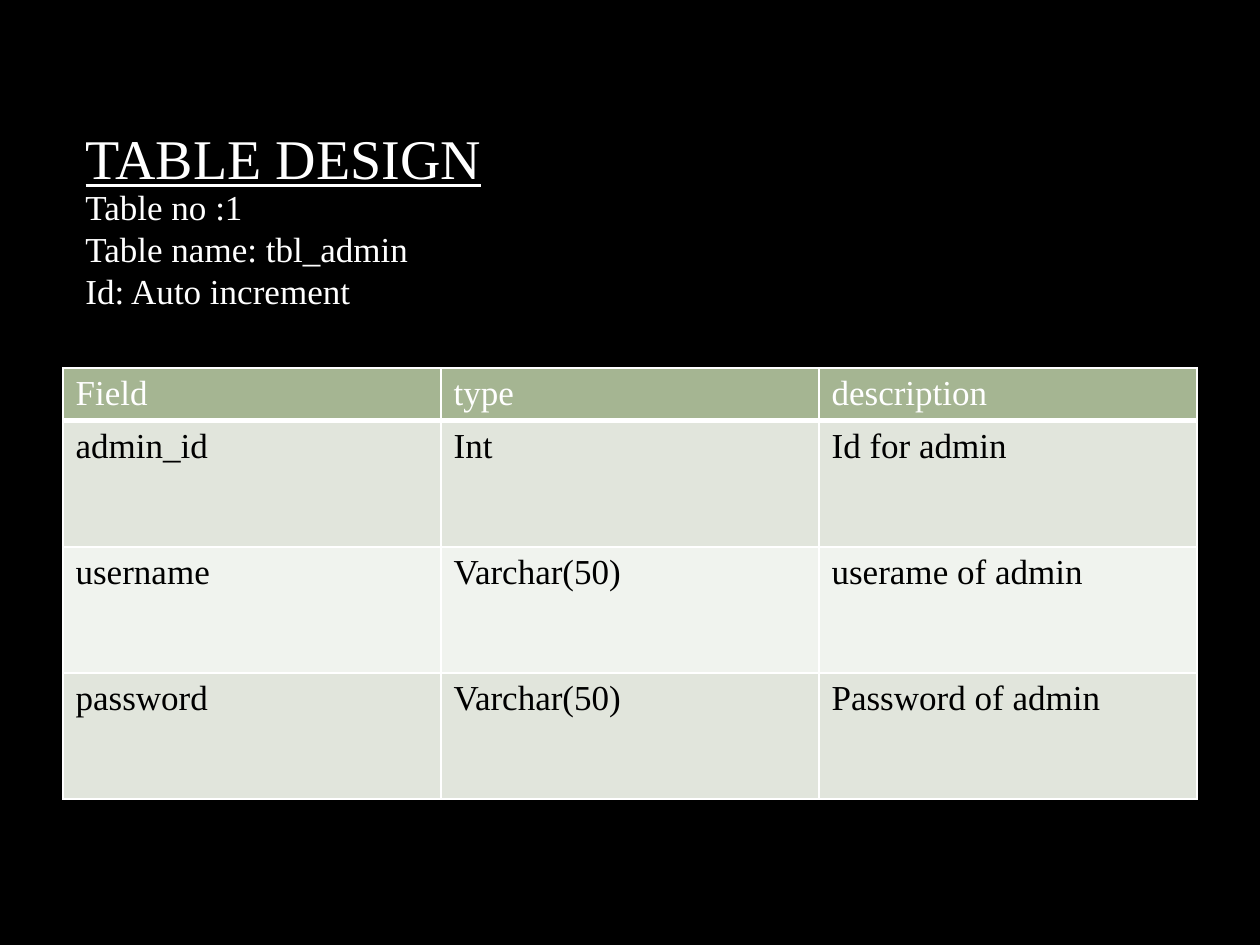
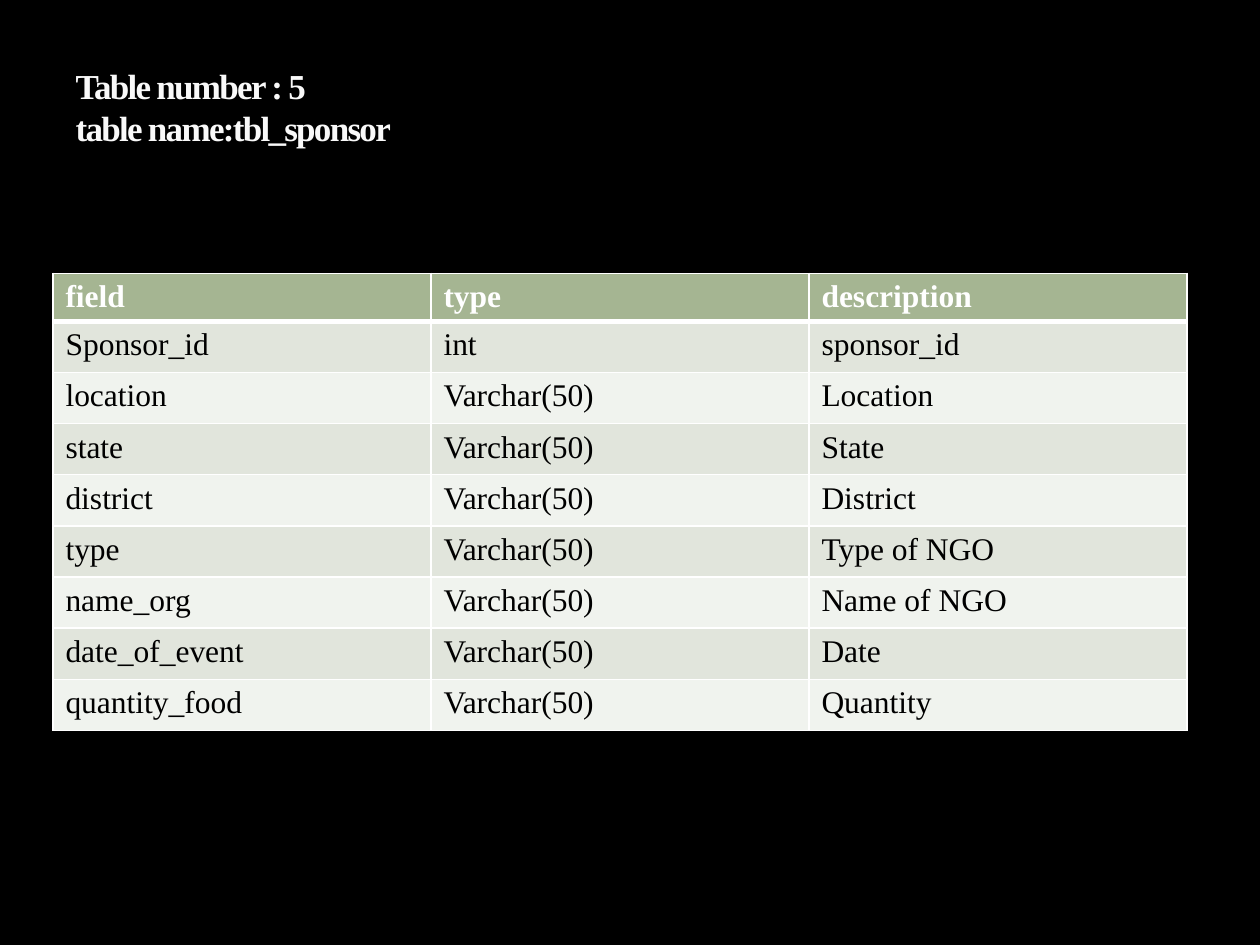
from lxml.etree import SubElement
from pptx import Presentation
from pptx.dml.color import RGBColor
from pptx.enum.text import MSO_ANCHOR, MSO_AUTO_SIZE, PP_ALIGN
from pptx.oxml.ns import qn
from pptx.util import Inches, Pt

FONT = "Times New Roman"
COLORS = {
    "background": "000000",
    "heading": "FFFFFF",
    "soft_heading": "F9F9F9",
    "header": "A5B592",
    "odd_row": "E1E5DC",
    "even_row": "F0F3EE",
    "border": "FFFFFF",
    "body": "000000",
}
TITLE_ONLY = 5
THIN, THICK = 1, 3
LEADING = 1.2

ADMIN_FIELDS = [
    ("Field", "type", "description"),
    ("admin_id", "Int", "Id for admin"),
    ("username", "Varchar(50)", "userame of admin"),
    ("password", "Varchar(50)", "Password of admin"),
]
SPONSOR_FIELDS = [
    ("field", "type", "description"),
    ("Sponsor_id", "int", "sponsor_id"),
    ("location", "Varchar(50)", "Location"),
    ("state", "Varchar(50)", "State"),
    ("district", "Varchar(50)", "District"),
    ("type", "Varchar(50)", "Type of NGO"),
    ("name_org", "Varchar(50)", "Name of NGO"),
    ("date_of_event", "Varchar(50)", "Date"),
    ("quantity_food", "Varchar(50)", "Quantity"),
]


def rgb(name):
    return RGBColor.from_string(COLORS[name])


def style(paragraph, size, color, bold=False, underline=False):
    font = paragraph.font
    font.name, font.size = FONT, Pt(size)
    font.bold, font.underline = bold, underline
    font.color.rgb = rgb(color)


def fill_heading(shape, box, lines, size, color="heading", leading=None, **look):
    """Place a heading shape in its box and write one paragraph per line."""
    shape.left, shape.top, shape.width, shape.height = map(Inches, box)
    frame = shape.text_frame
    frame.word_wrap = True
    frame.auto_size = MSO_AUTO_SIZE.NONE
    frame.vertical_anchor = MSO_ANCHOR.TOP
    frame.margin_top = frame.margin_bottom = 0
    frame.text = "\n".join(lines)
    for paragraph in frame.paragraphs:
        paragraph.alignment = PP_ALIGN.LEFT
        if leading:
            paragraph.line_spacing = Pt(size * leading)
        style(paragraph, size, color, **look)


def tighten(shape, points):
    """Change the letter spacing of all text in a shape."""
    for paragraph in shape.text_frame.paragraphs:
        for run in paragraph.runs:
            run.font._element.set("spc", str(points * 100))


def add_borders(cell, top, bottom):
    properties = cell._tc.get_or_add_tcPr()
    sides = [("a:lnL", THIN), ("a:lnR", THIN), ("a:lnT", top), ("a:lnB", bottom)]
    for position, (side, width) in enumerate(sides):
        line = SubElement(properties, qn(side), w=str(Pt(width)))
        solid = SubElement(line, qn("a:solidFill"))
        SubElement(solid, qn("a:srgbClr"), val=COLORS["border"])
        properties.insert(position, line)


def add_field_table(slide, box, fields, header_height, size, bold_header=False):
    """Draw a header row over equally high, alternately tinted rows."""
    left, top, width, height = box
    table = slide.shapes.add_table(
        len(fields), len(fields[0]), *map(Inches, box)).table
    for column in table.columns:
        column.width = Inches(width / len(fields[0]))
    row_height = (height - header_height) / (len(fields) - 1)
    for index, texts in enumerate(fields):
        is_header = index == 0
        table.rows[index].height = Inches(header_height if is_header else row_height)
        tint = "header" if is_header else "odd_row" if index % 2 else "even_row"
        for cell, text in zip(table.rows[index].cells, texts):
            cell.text = text
            cell.fill.solid()
            cell.fill.fore_color.rgb = rgb(tint)
            add_borders(cell, THICK if index == 1 else THIN,
                        THICK if is_header else THIN)
            style(cell.text_frame.paragraphs[0], size,
                  "heading" if is_header else "body", is_header and bold_header)


def add_admin_slide(deck):
    slide = deck.slides.add_slide(deck.slide_layouts[TITLE_ONLY])
    # Underlined title with the table's details beneath
    left, top, width, title_height = 0.58, 0.98, 8.5, 0.49
    fill_heading(slide.shapes.title, (left, top, width, title_height),
                 ["TABLE DESIGN"], 32, underline=True)
    details_box = (left, top + title_height, width, 1)
    details = slide.shapes.add_textbox(*map(Inches, details_box))
    fill_heading(details, details_box,
                 ["Table no :1", "Table name: tbl_admin", "Id: Auto increment"],
                 20, leading=LEADING)
    add_field_table(slide, (0.5, 2.92, 9, 3.42), ADMIN_FIELDS, 0.42, 20)


def add_sponsor_slide(deck):
    slide = deck.slides.add_slide(deck.slide_layouts[TITLE_ONLY])
    # Two-line bold title
    fill_heading(slide.shapes.title, (0.5, 0.51, 9, 0.7),
                 ["Table number : 5", "table name:tbl_sponsor"],
                 20, "soft_heading", LEADING, bold=True)
    tighten(slide.shapes.title, -1)
    add_field_table(slide, (0.42, 2.17, 9, 3.63), SPONSOR_FIELDS, 0.38, 18,
                    bold_header=True)


def main():
    deck = Presentation()
    deck.slide_width, deck.slide_height = Inches(10), Inches(7.5)
    # Shared black background
    background = deck.slide_master.background.fill
    background.solid()
    background.fore_color.rgb = rgb("background")
    add_admin_slide(deck)
    add_sponsor_slide(deck)
    deck.save("out.pptx")


if __name__ == "__main__":
    main()
